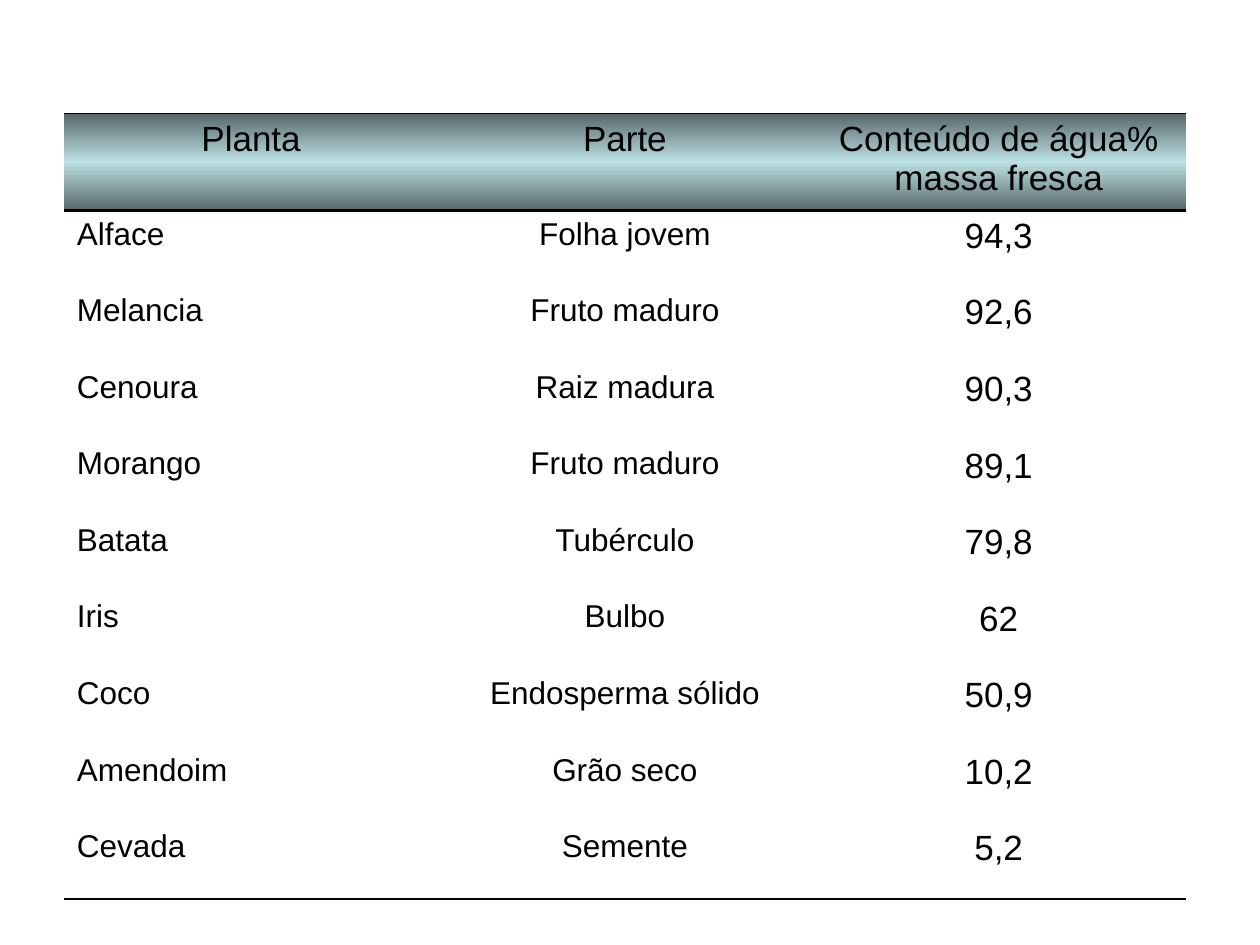
from lxml.etree import SubElement
from pptx import Presentation
from pptx.dml.color import RGBColor
from pptx.enum.text import MSO_ANCHOR, PP_ALIGN
from pptx.oxml.ns import qn
from pptx.util import Inches, Pt

BLACK = "000000"
HEADER_STOPS = [(0, "576869"), (50, "BBE0E3"), (100, "576869")]
OUTER_LINE, HEADER_LINE = 1.08, 1.47

ROWS = [
    ("Planta", "Parte", "Conteúdo de água% massa fresca"),
    ("Alface", "Folha jovem", "94,3"),
    ("Melancia", "Fruto maduro", "92,6"),
    ("Cenoura", "Raiz madura", "90,3"),
    ("Morango", "Fruto maduro", "89,1"),
    ("Batata", "Tubérculo", "79,8"),
    ("Iris", "Bulbo", "62"),
    ("Coco", "Endosperma sólido", "50,9"),
    ("Amendoim", "Grão seco", "10,2"),
    ("Cevada", "Semente", "5,2"),
]


def set_borders(cell, widths):
    """Draw the sides named in widths (points) and hide the others."""
    properties = cell._tc.get_or_add_tcPr()
    for side in ("L", "R", "T", "B"):
        line = SubElement(properties, qn(f"a:ln{side}"))
        if side in widths:
            line.set("w", str(Pt(widths[side])))
            fill = SubElement(line, qn("a:solidFill"))
            SubElement(fill, qn("a:srgbClr"), val=BLACK)
        else:
            line.set("w", "0")
            SubElement(line, qn("a:noFill"))


def fill_with_gradient(cell, stops):
    gradient = SubElement(cell._tc.get_or_add_tcPr(), qn("a:gradFill"), rotWithShape="1")
    stop_list = SubElement(gradient, qn("a:gsLst"))
    for percent, color in stops:
        stop = SubElement(stop_list, qn("a:gs"), pos=str(percent * 1000))
        SubElement(stop, qn("a:srgbClr"), val=color)
    SubElement(gradient, qn("a:lin"), ang="5400000", scaled="1")


presentation = Presentation()
presentation.slide_width = Inches(10)
presentation.slide_height = Inches(7.5)
slide = presentation.slides.add_slide(presentation.slide_layouts[6])

width, height, header_height = Inches(8.9), Inches(6.24), Inches(0.77)
table = slide.shapes.add_table(
    len(ROWS), len(ROWS[0]), Inches(0.51), Inches(0.9), width, height
).table
table.first_row = table.horz_banding = False

for column in table.columns:
    column.width = width // len(ROWS[0])
for row in table.rows:
    row.height = (height - header_height) // (len(ROWS) - 1)
table.rows[0].height = header_height

borders_by_row = {
    0: {"T": OUTER_LINE, "B": HEADER_LINE},
    1: {"T": HEADER_LINE},
    len(ROWS) - 1: {"B": OUTER_LINE},
}

for row_index, values in enumerate(ROWS):
    is_header = row_index == 0
    for column_index, value in enumerate(values):
        cell = table.cell(row_index, column_index)
        cell.vertical_anchor = MSO_ANCHOR.TOP
        set_borders(cell, borders_by_row.get(row_index, {}))
        if is_header:
            fill_with_gradient(cell, HEADER_STOPS)
        else:
            cell.fill.background()

        cell.text = value
        paragraph = cell.text_frame.paragraphs[0]
        is_plant = column_index == 0 and not is_header
        paragraph.alignment = PP_ALIGN.LEFT if is_plant else PP_ALIGN.CENTER
        font = paragraph.runs[0].font
        size = Pt(20 if is_header or column_index == 2 else 18)
        for name, setting in {"name": "Arial", "size": size, "bold": False}.items():
            setattr(font, name, setting)
        font.color.rgb = RGBColor.from_string(BLACK)

presentation.save("out.pptx")
